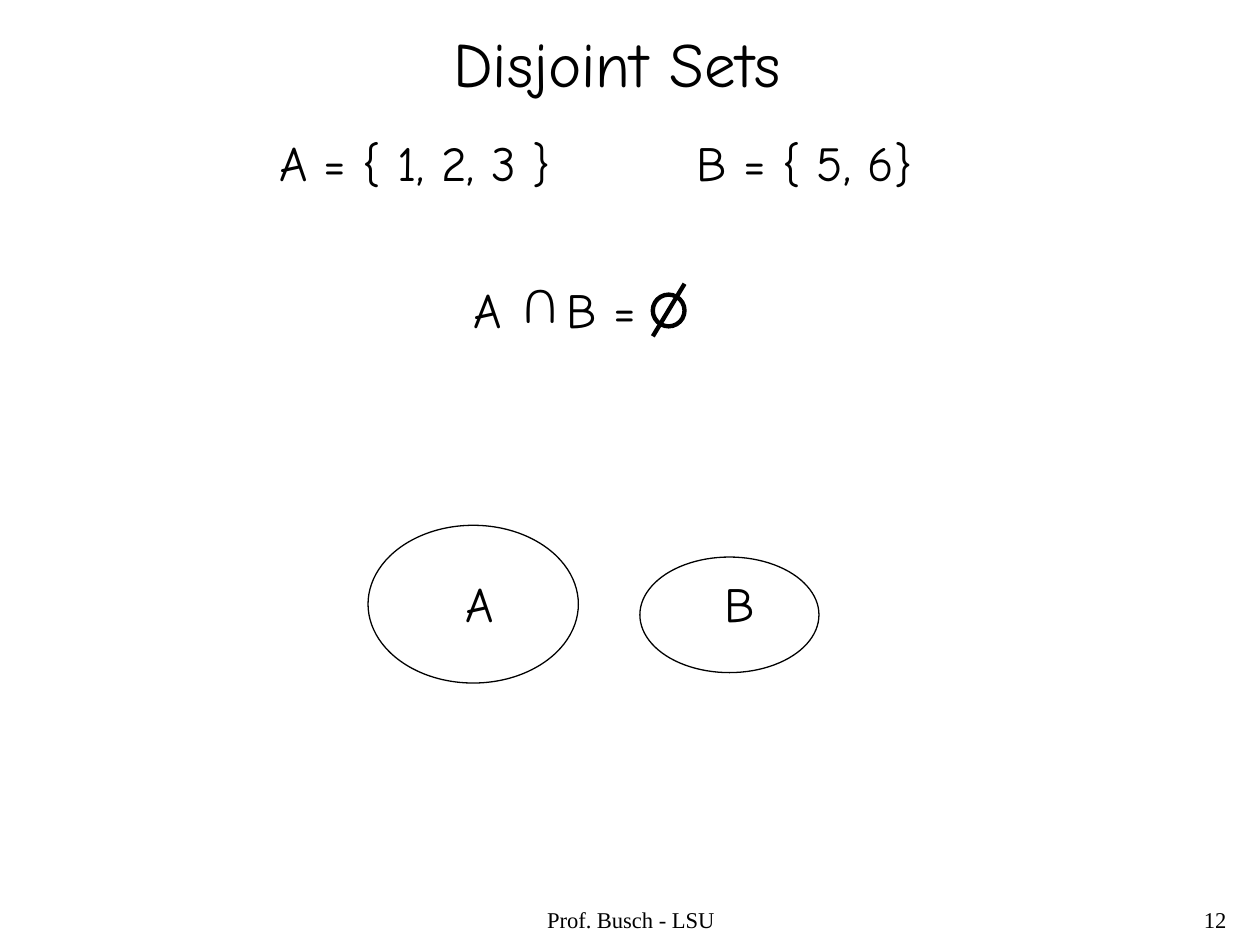
from lxml.etree import SubElement
from pptx import Presentation
from pptx.dml.color import RGBColor
from pptx.enum.shapes import MSO_CONNECTOR, MSO_SHAPE
from pptx.enum.text import PP_ALIGN
from pptx.oxml.ns import qn
from pptx.util import Cm, Pt

INK = "000000"
HAND = "Comic Neue"
SERIF = "Times New Roman"


def paint(color, code):
    color.rgb = RGBColor.from_string(code)


def stroke(line, width):
    paint(line.fill_format.fore_color if hasattr(line, "fill_format") else line.color, INK)
    line.width = Pt(width)


def write(slide, text, x, y, w, h=1.45, font=HAND, size=28,
          align=PP_ALIGN.LEFT, space=1.0, tab=None, turn=0):
    box = slide.shapes.add_textbox(Cm(x), Cm(y), Cm(w), Cm(h))
    box.rotation = turn
    frame = box.text_frame
    frame.word_wrap = True
    para = frame.paragraphs[0]
    para.alignment = align
    para.line_spacing = space
    if tab:
        stops = SubElement(para._p.get_or_add_pPr(), qn("a:tabLst"))
        SubElement(stops, qn("a:tab"), pos=str(Cm(tab)), algn="l")
    run = para.add_run()
    run.text = text
    run.font.name = font
    run.font.size = Pt(size)
    paint(run.font.color, INK)


def oval(slide, x, y, w, h, width=0.75):
    shape = slide.shapes.add_shape(MSO_SHAPE.OVAL, Cm(x), Cm(y), Cm(w), Cm(h))
    shape.shadow.inherit = False
    shape.fill.background()
    stroke(shape.line, width)


def slash(slide, x1, y1, x2, y2, width):
    line = slide.shapes.add_connector(
        MSO_CONNECTOR.STRAIGHT, Cm(x1), Cm(y1), Cm(x2), Cm(y2))
    stroke(line.line, width)
    SubElement(line._element.spPr, qn("a:effectLst"))


def empty(slide, x, y, size):
    oval(slide, x, y, size, size, 2.5)
    slash(slide, x + size, y - 0.22, x, y + size + 0.2, 2.5)


def main():
    deck = Presentation()
    deck.slide_width, deck.slide_height = Cm(25.4), Cm(19.05)
    slide = deck.slides.add_slide(deck.slide_layouts[6])

    foot = dict(y=18.21, h=0.84, font=SERIF, size=12.9, space=0.9)
    write(slide, "Prof. Busch - LSU", x=8.69, w=8.05, align=PP_ALIGN.CENTER, **foot)
    write(slide, "12", x=19.69, w=5.28, align=PP_ALIGN.RIGHT, **foot)

    write(slide, "Disjoint Sets", 8.89, 0.36, 7.4, 1.78, size=36)
    write(slide, "A = { 1, 2, 3 }\tB = { 5, 6}", 5.38, 2.54, 13.9, tab=8.41)

    write(slide, "A\tB =", 9.3, 5.51, 4.9, tab=1.87)
    write(slide, "U", 10.21, 5.51, 1.27, turn=180)
    empty(slide, 13.16, 5.94, 0.64)

    oval(slide, 7.42, 10.59, 4.24, 3.18)
    oval(slide, 12.9, 11.23, 3.61, 2.33)
    write(slide, "A", 9.14, 11.43, 1.2)
    write(slide, "B", 14.35, 11.43, 1.2)

    deck.save("out.pptx")


if __name__ == "__main__":
    main()
